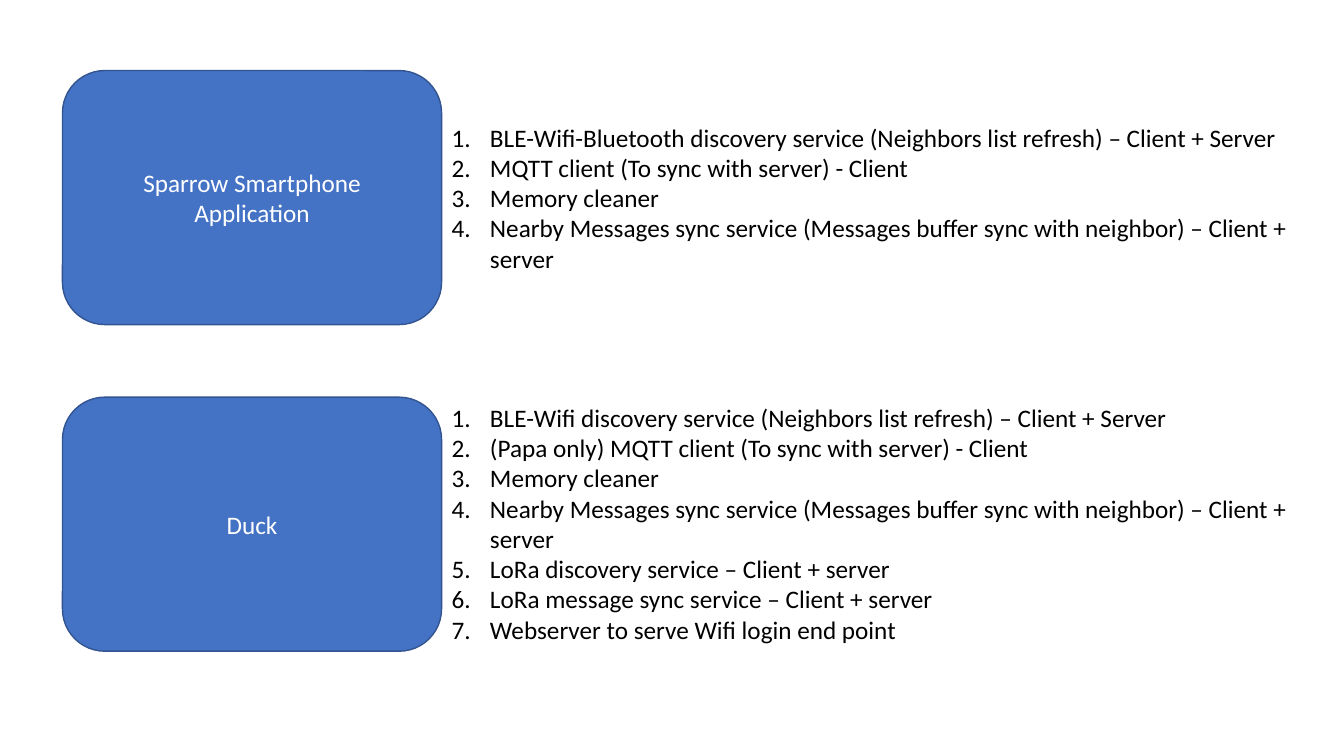
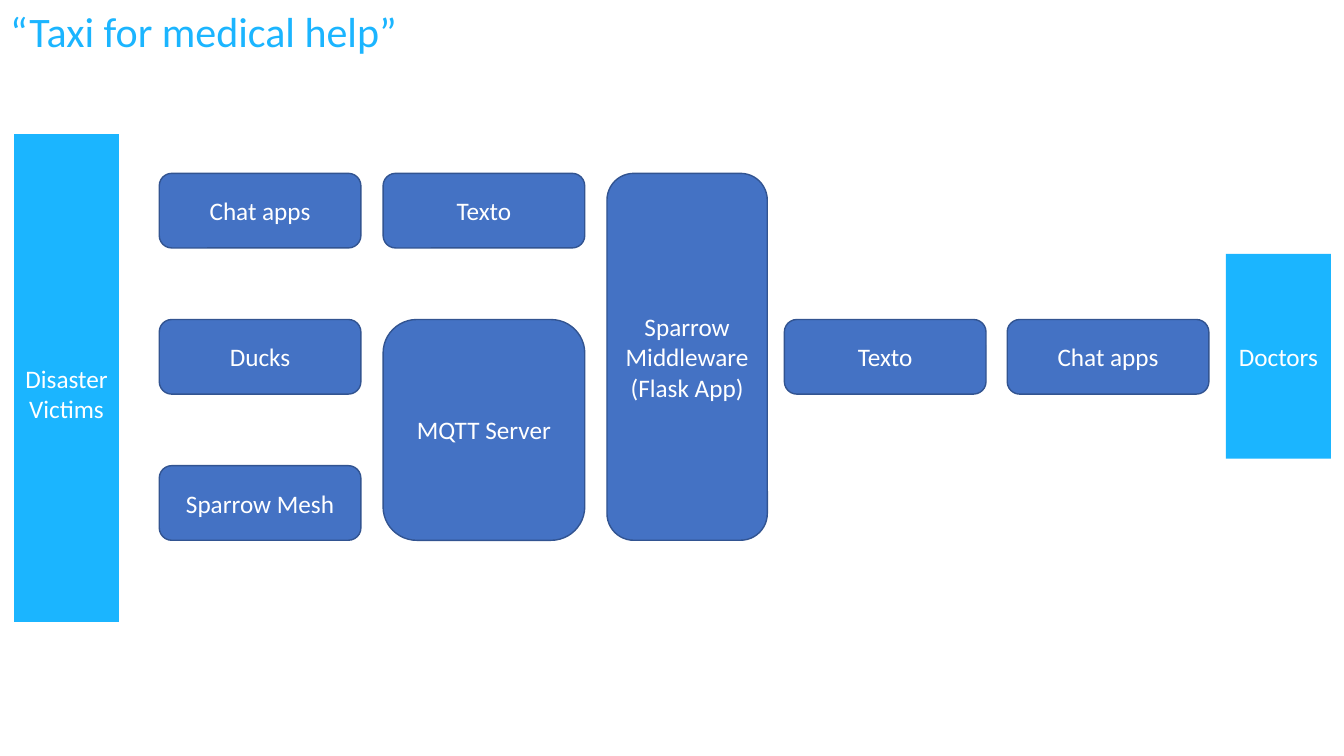
"""Build two slides on the services and the message flow of a disaster relief mesh."""
from pptx import Presentation, util as u
from pptx.dml.color import RGBColor
from pptx.enum import shapes, text
from pptx.oxml.ns import qn
from lxml import etree

FONT, BLUE, EDGE, SKY = "Calibri", "4472C4", "325491", "1BB5FF"
WHITE, BLACK = "FFFFFF", "000000"
MID, LEFT = text.PP_ALIGN.CENTER, text.PP_ALIGN.LEFT


def hue(color, code):
    color.rgb = RGBColor.from_string(code)


def write(frame, lines, code, size=18, align=LEFT, anchor=text.MSO_ANCHOR.TOP, num=False):
    frame.word_wrap = True
    frame.auto_size = text.MSO_AUTO_SIZE.NONE
    frame.vertical_anchor = anchor
    for i, line in enumerate(lines):
        para = frame.paragraphs[0] if i == 0 else frame.add_paragraph()
        para.alignment = align
        para.space_before = u.Pt(0)
        if num:
            prop = para._p.get_or_add_pPr()
            prop.set("marL", str(u.Inches(0.38)))
            prop.set("indent", str(-u.Inches(0.38)))
            etree.SubElement(prop, qn("a:buFont"), typeface=FONT)
            etree.SubElement(prop, qn("a:buAutoNum"), type="arabicPeriod")
        run = para.add_run()
        run.text = line
        run.font.name = FONT
        run.font.size = u.Pt(size)
        hue(run.font.color, code)


prs = Presentation()
prs.slide_width, prs.slide_height = u.Inches(13.33), u.Inches(7.5)
parts = prs.slides.add_slide(prs.slide_layouts[3])
flow = prs.slides.add_slide(prs.slide_layouts[5])

head = parts.shapes.title._element
head.getparent().remove(head)

sync = "Nearby Messages sync service (Messages buffer sync with neighbor) – Client + server"
lists = [
    (1.16, 1.62, [
        "BLE-Wifi-Bluetooth discovery service (Neighbors list refresh) – Client + Server",
        "MQTT client (To sync with server) - Client",
        "Memory cleaner",
        sync]),
    (3.94, 2.52, [
        "BLE-Wifi discovery service (Neighbors list refresh) – Client + Server",
        "(Papa only) MQTT client (To sync with server) - Client",
        "Memory cleaner",
        sync,
        "LoRa discovery service – Client + server",
        "LoRa message sync service – Client + server",
        "Webserver to serve Wifi login end point"]),
]
for body, (top, high, items) in zip(parts.placeholders, lists):
    body.left, body.top = u.Inches(4.38), u.Inches(top)
    body.width, body.height = u.Inches(8.62), u.Inches(high)
    write(body.text_frame, items, BLACK, num=True)

title = flow.shapes.title
title.left, title.top = u.Inches(0), u.Inches(0)
title.width, title.height = u.Inches(8.34), u.Inches(0.61)
write(title.text_frame, ["“Taxi for medical help”"], SKY, size=30)

wide, high, step = 2, 0.74, 1.45
cols = [1.58 + 2.22 * i for i in range(3)]
rows = [1.72 + step * i for i in range(3)]
boxes = [
    (parts, 0.62, 0.7, 3.76, 2.52, BLUE, ["Sparrow Smartphone Application"]),
    (parts, 0.62, 3.94, 3.76, 2.52, BLUE, ["Duck"]),
    (flow, cols[0], rows[0], wide, high, BLUE, ["Chat apps"]),
    (flow, cols[0], rows[1], wide, high, BLUE, ["Ducks"]),
    (flow, cols[0], rows[2], wide, high, BLUE, ["Sparrow Mesh"]),
    (flow, cols[1], rows[0], wide, high, BLUE, ["Texto"]),
    (flow, cols[1], rows[1], wide, high + step, BLUE, ["MQTT Server"]),
    (flow, cols[2], rows[0], 1.59, high + 2 * step, BLUE,
     ["Sparrow Middleware", "(Flask App)"]),
    (flow, 7.78, rows[1], wide, high, BLUE, ["Texto"]),
    (flow, 9.99, rows[1], wide, high, BLUE, ["Chat apps"]),
    (flow, 0.14, 1.33, 1.04, 4.84, SKY, ["Disaster Victims"]),
    (flow, 12.16, 2.52, 1.04, 2.03, SKY, ["Doctors"]),
]
for slide, left, top, width, height, code, lines in boxes:
    kind = shapes.MSO_SHAPE.ROUNDED_RECTANGLE if code == BLUE else shapes.MSO_SHAPE.RECTANGLE
    box = slide.shapes.add_shape(kind, *map(u.Inches, (left, top, width, height)))
    box.shadow.inherit = False
    box.fill.solid()
    hue(box.fill.fore_color, code)
    if code == BLUE:
        hue(box.line.color, EDGE)
        box.line.width = u.Pt(1)
    else:
        box.line.fill.background()
    write(box.text_frame, lines, WHITE, align=MID, anchor=text.MSO_ANCHOR.MIDDLE)
    if lines == ["Disaster Victims"]:
        box.text_frame.margin_top = u.Inches(0.35)

prs.save("out.pptx")
